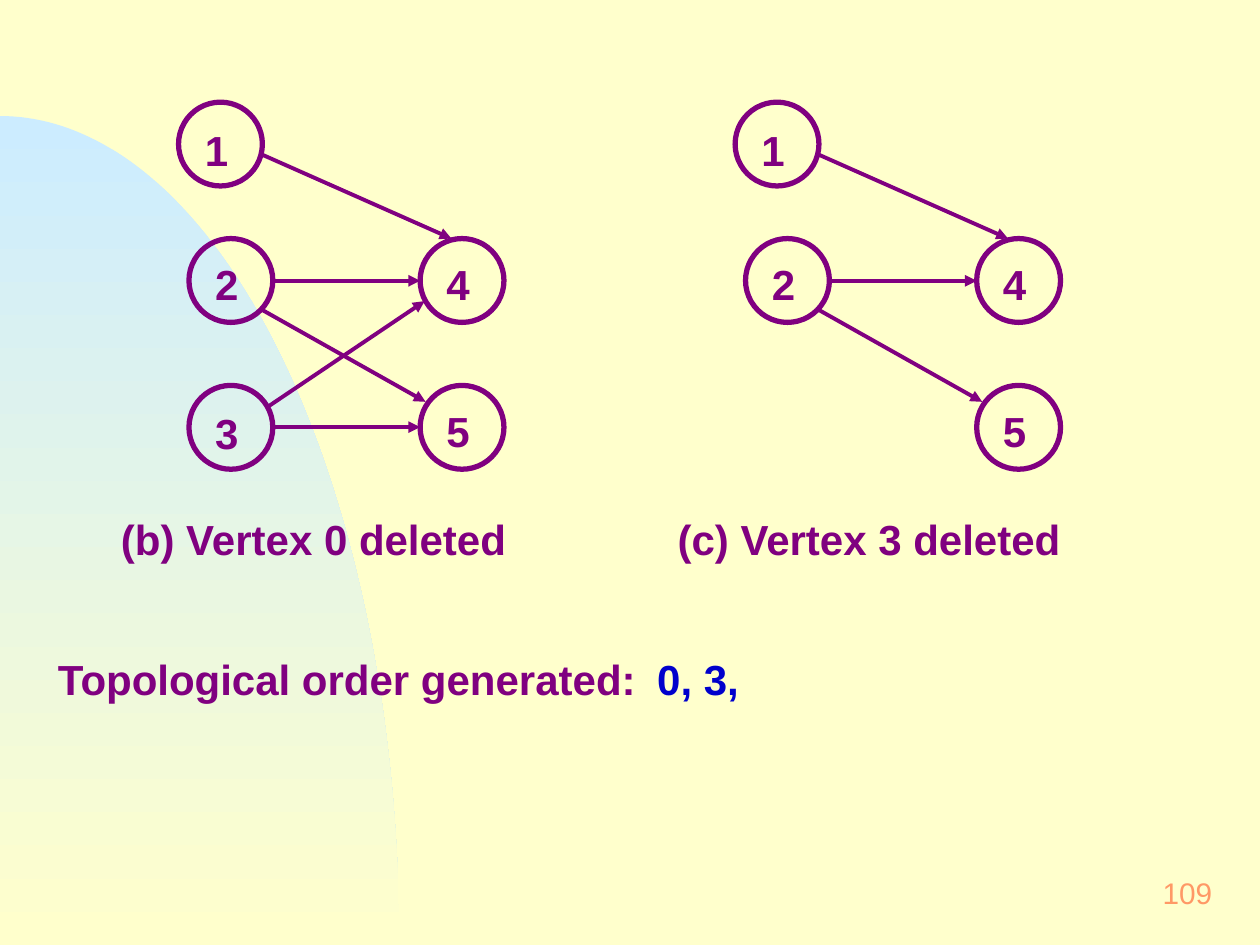
from dataclasses import dataclass
from math import cos, pi, sin

from lxml import etree
from pptx import Presentation
from pptx.dml.color import RGBColor
from pptx.enum.shapes import MSO_CONNECTOR, MSO_SHAPE
from pptx.enum.text import MSO_ANCHOR, PP_ALIGN
from pptx.oxml.ns import qn
from pptx.util import Cm, Pt

OVAL = MSO_SHAPE.OVAL
STRAIGHT = MSO_CONNECTOR.STRAIGHT
TOP, MIDDLE = MSO_ANCHOR.TOP, MSO_ANCHOR.MIDDLE
LEFT, RIGHT = PP_ALIGN.LEFT, PP_ALIGN.RIGHT

PAGE_WIDTH, PAGE_HEIGHT = 25.4, 19.05
NODE_SIZE = 1.69
GRAPH_SHIFT = 11.22

# Vertex: left, top, and how far its label sits below the circle's top
VERTICES = {
    "1": (3.6, 2.06, 0.2),
    "2": (3.81, 4.81, 0.15),
    "3": (3.81, 7.77, 0.2),
    "4": (8.47, 4.81, 0.15),
    "5": (8.47, 7.77, 0.15),
}

# Edge: arrow tip, then tail
EDGES = {
    "1-4": ((9.1, 4.81), (5.29, 3.12)),
    "2-4": ((8.47, 5.66), (5.5, 5.66)),
    "2-5": ((8.58, 8.1), (5.29, 6.25)),
    "3-4": ((8.56, 6.07), (5.4, 8.2)),
    "3-5": ((8.47, 8.61), (5.5, 8.61)),
}

GRAPHS = [
    ("(b) Vertex 0 deleted", "12345", ["1-4", "2-4", "2-5", "3-4", "3-5"]),
    ("(c) Vertex 3 deleted", "1245", ["1-4", "2-4", "2-5"]),
]


@dataclass(frozen=True)
class Theme:
    font: str = "Arial"
    page: RGBColor = RGBColor(0xFF, 0xFF, 0xCC)
    sky: RGBColor = RGBColor(0xCC, 0xEC, 0xFF)
    ink: RGBColor = RGBColor(0x80, 0x00, 0x80)
    answer: RGBColor = RGBColor(0x00, 0x00, 0xCC)
    number: RGBColor = RGBColor(0xFF, 0x99, 0x66)
    body_size: float = 24
    number_size: float = 17
    node_line: float = 3
    edge_line: float = 2.25


def add_span(para, text, *, font, size, color, bold=True):
    span = para.add_run()
    span.text = text
    span.font.name = font
    span.font.size = Pt(size)
    span.font.bold = bold
    span.font.color.rgb = color


class SlideBuilder:
    def __init__(self, page, theme):
        self.page = page
        self.theme = theme

    def background(self):
        fill = self.page.background.fill
        fill.solid()
        fill.fore_color.rgb = self.theme.page

    def quarter_ellipse(self, width, height, steps=90):
        """Fill a quarter ellipse centred on the bottom left corner."""
        angles = [pi / 2 * step / steps for step in range(steps + 1)]
        points = [(Cm(width * sin(angle)), Cm(PAGE_HEIGHT - height * cos(angle)))
                  for angle in angles]
        builder = self.page.shapes.build_freeform(*points[0])
        builder.add_line_segments(points[1:] + [(0, Cm(PAGE_HEIGHT))], close=True)
        shape = builder.convert_to_shape()
        shape.shadow.inherit = False
        shape.line.fill.background()
        shape.fill.gradient()
        shape.fill.gradient_angle = 270
        for stop, color in zip(shape.fill.gradient_stops,
                               (self.theme.sky, self.theme.page)):
            stop.color.rgb = color

    def text(self, left, top, width, spans, height=1.32, *, size=None,
             bold=True, align=LEFT, anchor=TOP, top_inset=0.25, tab=None):
        box = self.page.shapes.add_textbox(Cm(left), Cm(top), Cm(width), Cm(height))
        frame = box.text_frame
        frame.word_wrap = True
        frame.vertical_anchor = anchor
        frame.margin_left = frame.margin_right = Cm(0.32)
        frame.margin_top = Cm(top_inset)
        frame.margin_bottom = Cm(0.16)
        para = frame.paragraphs[0]
        para.alignment = align
        if tab is not None:
            tabs = etree.SubElement(para._p.get_or_add_pPr(), qn("a:tabLst"))
            etree.SubElement(tabs, qn("a:tab"), pos=str(Cm(tab)), algn="l")
        for text, color in spans:
            add_span(para, text, font=self.theme.font,
                     size=size or self.theme.body_size, color=color, bold=bold)

    def vertex(self, name, left, top, label_drop):
        circle = self.page.shapes.add_shape(
            OVAL, Cm(left), Cm(top), Cm(NODE_SIZE), Cm(NODE_SIZE))
        circle.shadow.inherit = False
        circle.fill.background()
        circle.line.color.rgb = self.theme.ink
        circle.line.width = Pt(self.theme.node_line)
        self.text(left + 0.21, top + label_drop, 1.06, [(name, self.theme.ink)])

    def edge(self, tip, tail, shift):
        arrow = self.page.shapes.add_connector(
            STRAIGHT, Cm(tip[0] + shift), Cm(tip[1]),
            Cm(tail[0] + shift), Cm(tail[1]))
        arrow.line.color.rgb = self.theme.ink
        arrow.line.width = Pt(self.theme.edge_line)
        etree.SubElement(arrow.line._get_or_add_ln(), qn("a:headEnd"), type="triangle")
        etree.SubElement(arrow._element.spPr, qn("a:effectLst"))

    def graph(self, caption, vertices, edges, shift):
        for name in vertices:
            left, top, label_drop = VERTICES[name]
            self.vertex(name, left + shift, top, label_drop)
        for name in edges:
            self.edge(*EDGES[name], shift)
        self.text(2.12 + shift, 10.11, 8.89, [(caption, self.theme.ink)])


def main():
    deck = Presentation()
    deck.slide_width, deck.slide_height = Cm(PAGE_WIDTH), Cm(PAGE_HEIGHT)
    theme = Theme()
    slide = SlideBuilder(deck.slides.add_slide(deck.slide_layouts[6]), theme)

    # Backdrop and page number
    slide.background()
    slide.quarter_ellipse(8.05, 16.71)
    slide.text(19.47, 17.36, 5.29, [("109", theme.number)], 1.27,
               size=theme.number_size, bold=False, align=RIGHT,
               anchor=MIDDLE, top_inset=0.16)

    # The two graphs, side by side
    for index, (caption, vertices, edges) in enumerate(GRAPHS):
        slide.graph(caption, vertices, edges, index * GRAPH_SHIFT)

    # Order so far
    slide.text(0.85, 12.93, 23.28,
               [("Topological order generated:\t", theme.ink),
                ("0, 3,", theme.answer)], tab=12.08)

    deck.save("out.pptx")


if __name__ == "__main__":
    main()
